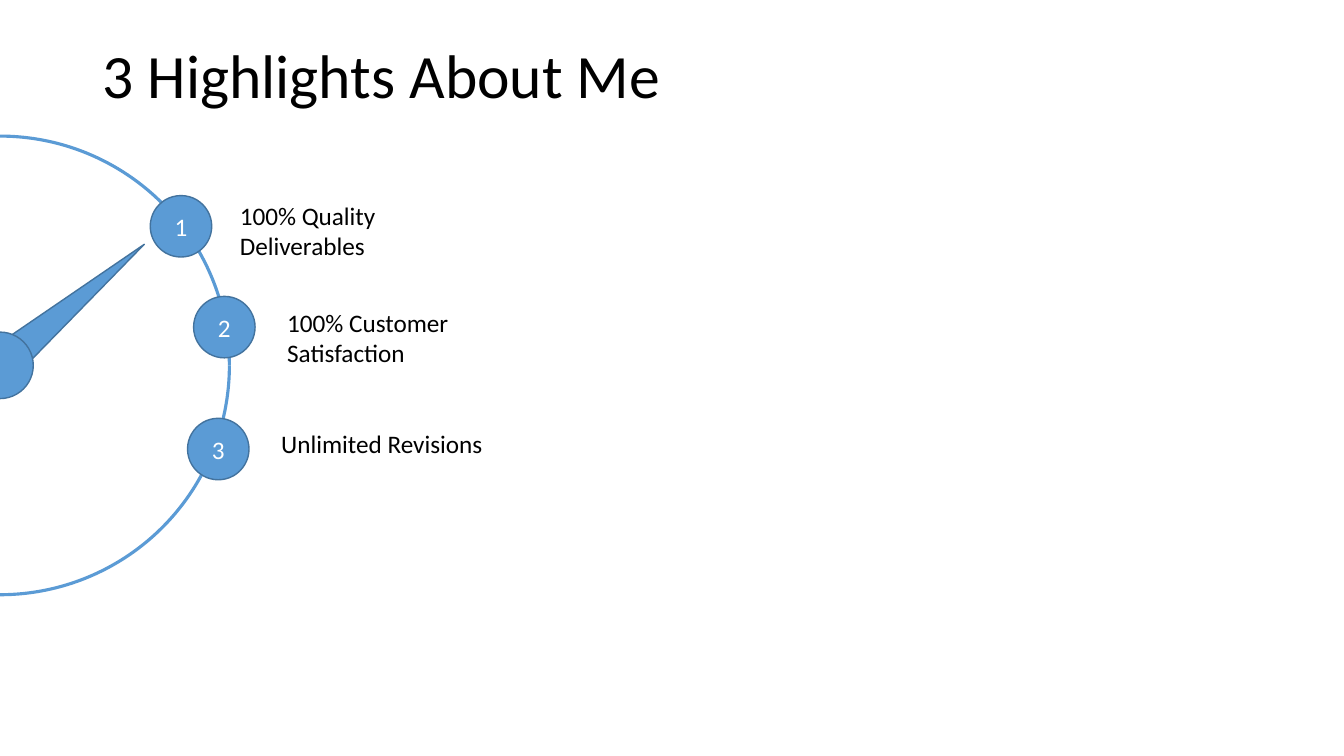
from dataclasses import dataclass

from pptx import Presentation
from pptx import util as u
from pptx.dml.color import RGBColor
from pptx.enum import shapes, text

BLUE, EDGE, BLACK, WHITE = "5B9BD5", "43739E", "000000", "FFFFFF"
KIND = shapes.MSO_SHAPE
DIAL = 4.55
MID = 1.35 + DIAL / 2
HUB = 0.66
DOT = 0.61


@dataclass
class Point:
    label: str
    left: float
    top: float
    note: str
    note_left: float
    note_top: float
    note_high: float


POINTS = [
    Point("1", 1.49, 1.94, "100% Quality Deliverables", 2.28, 1.94, 0.71),
    Point("2", 1.92, 2.94, "100% Customer Satisfaction", 2.75, 3, 0.71),
    Point("3", 1.86, 4.15, "Unlimited Revisions", 2.69, 4.2, 0.4),
]


def paint(item, color: str) -> None:
    item.solid()
    item.fore_color.rgb = RGBColor.from_string(color)


def write(frame, words: str, size: float, color: str, align) -> None:
    frame.word_wrap = True
    line = frame.paragraphs[0]
    line.alignment = align
    run = line.add_run()
    run.text = words
    run.font.name = "Calibri"
    run.font.size = u.Pt(size)
    paint(run.font.fill, color)


def draw(slide, kind, left: float, top: float, wide: float, high: float,
         fill: str = "", edge: str = EDGE, width: float = 1, turn: float = 0):
    shape = slide.shapes.add_shape(
        kind, u.Inches(left), u.Inches(top), u.Inches(wide), u.Inches(high))
    shape.shadow.inherit = False
    shape.rotation = turn
    if fill:
        paint(shape.fill, fill)
    else:
        shape.fill.background()
    paint(shape.line.fill, edge)
    shape.line.width = u.Pt(width)
    return shape


def add_title(slide) -> None:
    title = slide.shapes.title
    title.left, title.top = u.Inches(0.92), u.Inches(0.4)
    title.width, title.height = u.Inches(11.5), u.Inches(1.45)
    frame = title.text_frame
    frame.auto_size = text.MSO_AUTO_SIZE.NONE
    frame.vertical_anchor = text.MSO_ANCHOR.TOP
    write(frame, "3 Highlights About Me", 44, BLACK, text.PP_ALIGN.LEFT)
    frame.paragraphs[0].line_spacing = 0.9


def add_dial(slide) -> None:
    draw(slide, KIND.ISOSCELES_TRIANGLE, 0.53, 2.09, 0.37, 1.87, BLUE, turn=50)
    for turn in (0, 90):
        draw(slide, KIND.ARC, -DIAL / 2, MID - DIAL / 2, DIAL, DIAL,
             edge=BLUE, width=2.25, turn=turn)
    draw(slide, KIND.OVAL, -HUB / 2, MID - HUB / 2, HUB, HUB, BLUE)


def add_point(slide, point: Point) -> None:
    dot = draw(slide, KIND.OVAL, point.left, point.top, DOT, DOT, BLUE)
    dot.text_frame.vertical_anchor = text.MSO_ANCHOR.MIDDLE
    write(dot.text_frame, point.label, 18, WHITE, text.PP_ALIGN.CENTER)
    note = slide.shapes.add_textbox(
        u.Inches(point.note_left), u.Inches(point.note_top),
        u.Inches(2.65), u.Inches(point.note_high))
    note.text_frame.auto_size = text.MSO_AUTO_SIZE.SHAPE_TO_FIT_TEXT
    write(note.text_frame, point.note, 18, BLACK, text.PP_ALIGN.LEFT)


def main() -> None:
    deck = Presentation()
    deck.slide_width, deck.slide_height = u.Inches(13.33), u.Inches(7.5)
    slide = deck.slides.add_slide(deck.slide_layouts[5])
    paint(slide.background.fill, WHITE)
    add_title(slide)
    add_dial(slide)
    for point in POINTS:
        add_point(slide, point)
    deck.save("out.pptx")


if __name__ == "__main__":
    main()
